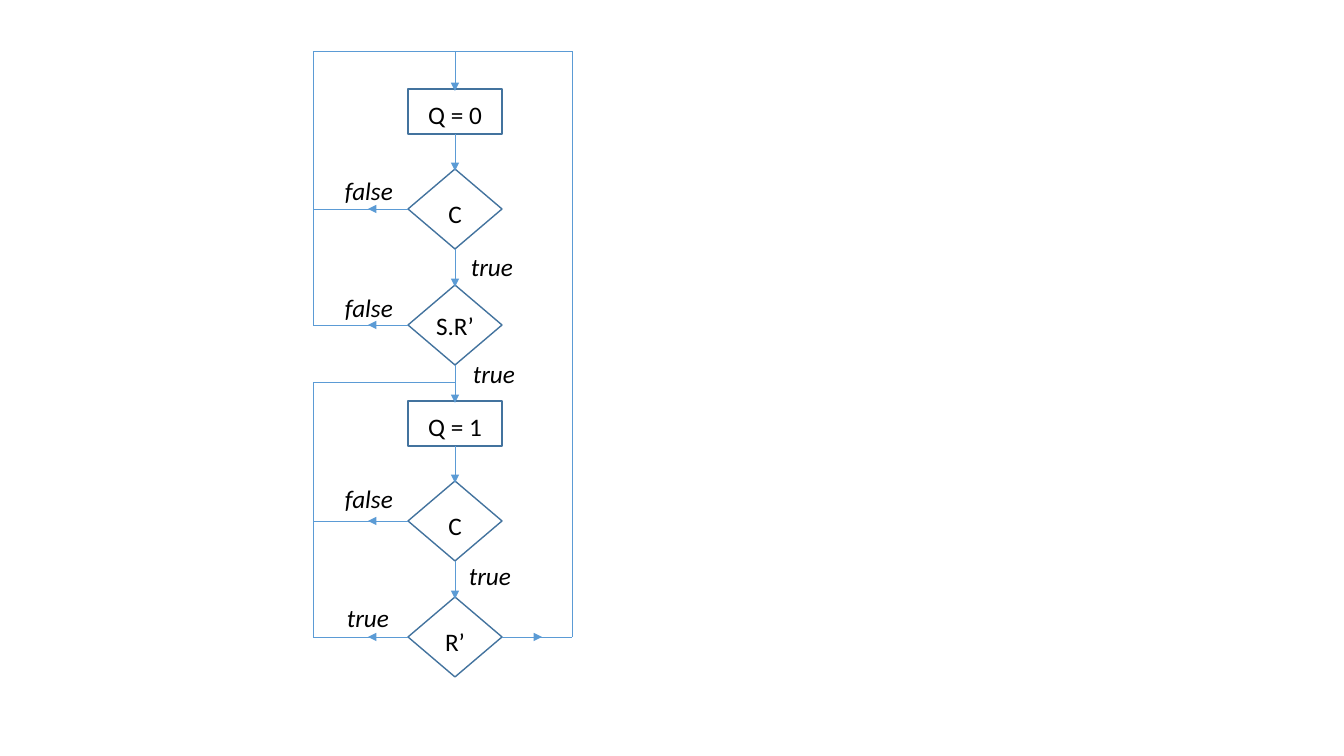
from lxml.etree import SubElement
from pptx import Presentation
from pptx.dml.color import RGBColor
from pptx.enum.shapes import MSO_CONNECTOR as Connector, MSO_SHAPE as Shape
from pptx.enum.text import MSO_ANCHOR as Anchor, MSO_AUTO_SIZE as AutoSize, PP_ALIGN as Align
from pptx.oxml.ns import qn
from pptx.util import Emu, Pt

SCALE = 914400 / 100.8
FLOW_LINE, NODE_LINE, BLACK = "5B9BD5", "43739E", "000000"
LEFT_RAIL, CENTER, RIGHT_RAIL = 313, 455, 572
NODE_WIDTH, STATE_HEIGHT, TEST_HEIGHT = 94, 45, 80
NODE_LEFT, NODE_RIGHT = CENTER - NODE_WIDTH // 2, CENTER + NODE_WIDTH // 2
TOP_RAIL, SECOND_LOOP_ENTRY = 51, 382
LOOP_TOPS = (89, 401)
FIRST_TEST, SECOND_TEST = 80, 196
ARROW_LENGTH, ARROW_OVERLAP = 40, 2

LOOPS = (("Q = 0", "C", "S.R’"), ("Q = 1", "C", "R’"))
LABELS = (
    ("false", 335, 170), ("false", 335, 287),
    ("false", 335, 478), ("true", 337, 597),
    ("true", 461, 246), ("true", 463, 353), ("true", 459, 555),
)


def px(value):
    return Emu(round(value * SCALE))


def color(value):
    return RGBColor.from_string(value)


def write(frame, text, italic=False):
    frame.text = text
    frame.word_wrap = False
    font = frame.paragraphs[0].runs[0].font
    font.name, font.size, font.italic = "Calibri", Pt(18), italic
    font.color.rgb = color(BLACK)


def add_node(slide, kind, text, top, height, text_drop):
    shape = slide.shapes.add_shape(kind, px(NODE_LEFT), px(top), px(NODE_WIDTH), px(height))
    shape.shadow.inherit = False
    shape.fill.background()
    shape.line.color.rgb = color(NODE_LINE)
    shape.line.width = Pt(1)
    frame = shape.text_frame
    write(frame, text)
    frame.vertical_anchor = Anchor.MIDDLE
    frame.margin_left = frame.margin_right = frame.margin_bottom = 0
    frame.margin_top = px(2 * text_drop)
    frame.paragraphs[0].alignment = Align.CENTER


def add_label(slide, text, left, top):
    width = 68 if text == "false" else 62
    box = slide.shapes.add_textbox(px(left), px(top), px(width), px(40))
    write(box.text_frame, text, italic=True)
    box.text_frame.auto_size = AutoSize.SHAPE_TO_FIT_TEXT


def add_line(slide, start, end, arrow=False):
    points = [px(value) for value in (*start, *end)]
    connector = slide.shapes.add_connector(Connector.STRAIGHT, *points)
    connector.line.color.rgb = color(FLOW_LINE)
    connector.line.width = Pt(0.5)
    if arrow:
        SubElement(connector.line._get_or_add_ln(), qn("a:tailEnd"), type="triangle")
    SubElement(connector._element.spPr, qn("a:effectLst"))


def add_down_arrow(slide, start, end):
    add_line(slide, (CENTER, start), (CENTER, end + ARROW_OVERLAP), arrow=True)


def add_exit(slide, side, rail, y):
    direction = 1 if rail > side else -1
    add_line(slide, (side, y), (rail, y))
    add_line(slide, (side, y), (side + direction * ARROW_LENGTH, y), arrow=True)


def add_loop(slide, texts, top, entry):
    state, first_test, second_test = texts
    first_top, second_top = top + FIRST_TEST, top + SECOND_TEST
    middle = TEST_HEIGHT // 2
    add_node(slide, Shape.RECTANGLE, state, top, STATE_HEIGHT, 3)
    add_node(slide, Shape.DIAMOND, first_test, first_top, TEST_HEIGHT, 4)
    add_node(slide, Shape.DIAMOND, second_test, second_top, TEST_HEIGHT,
             0 if second_test == "S.R’" else 4)
    add_down_arrow(slide, top + STATE_HEIGHT, first_top)
    add_down_arrow(slide, first_top + TEST_HEIGHT, second_top)
    for test_top in (first_top, second_top):
        add_exit(slide, NODE_LEFT, LEFT_RAIL, test_top + middle)
    add_line(slide, (LEFT_RAIL, second_top + middle), (LEFT_RAIL, entry))
    add_line(slide, (LEFT_RAIL, entry), (CENTER, entry))


def main():
    presentation = Presentation()
    presentation.slide_width, presentation.slide_height = px(1344), px(756)
    slide = presentation.slides.add_slide(presentation.slide_layouts[6])

    for texts, top, entry in zip(LOOPS, LOOP_TOPS, (TOP_RAIL, SECOND_LOOP_ENTRY)):
        add_loop(slide, texts, top, entry)

    first_top, second_top = LOOP_TOPS
    add_down_arrow(slide, TOP_RAIL, first_top)
    add_down_arrow(slide, first_top + SECOND_TEST + TEST_HEIGHT, second_top)

    reset_y = second_top + SECOND_TEST + TEST_HEIGHT // 2
    add_exit(slide, NODE_RIGHT, RIGHT_RAIL, reset_y)
    add_line(slide, (RIGHT_RAIL, reset_y), (RIGHT_RAIL, TOP_RAIL))
    add_line(slide, (CENTER, TOP_RAIL), (RIGHT_RAIL, TOP_RAIL))

    for label in LABELS:
        add_label(slide, *label)
    presentation.save("out.pptx")


main()
